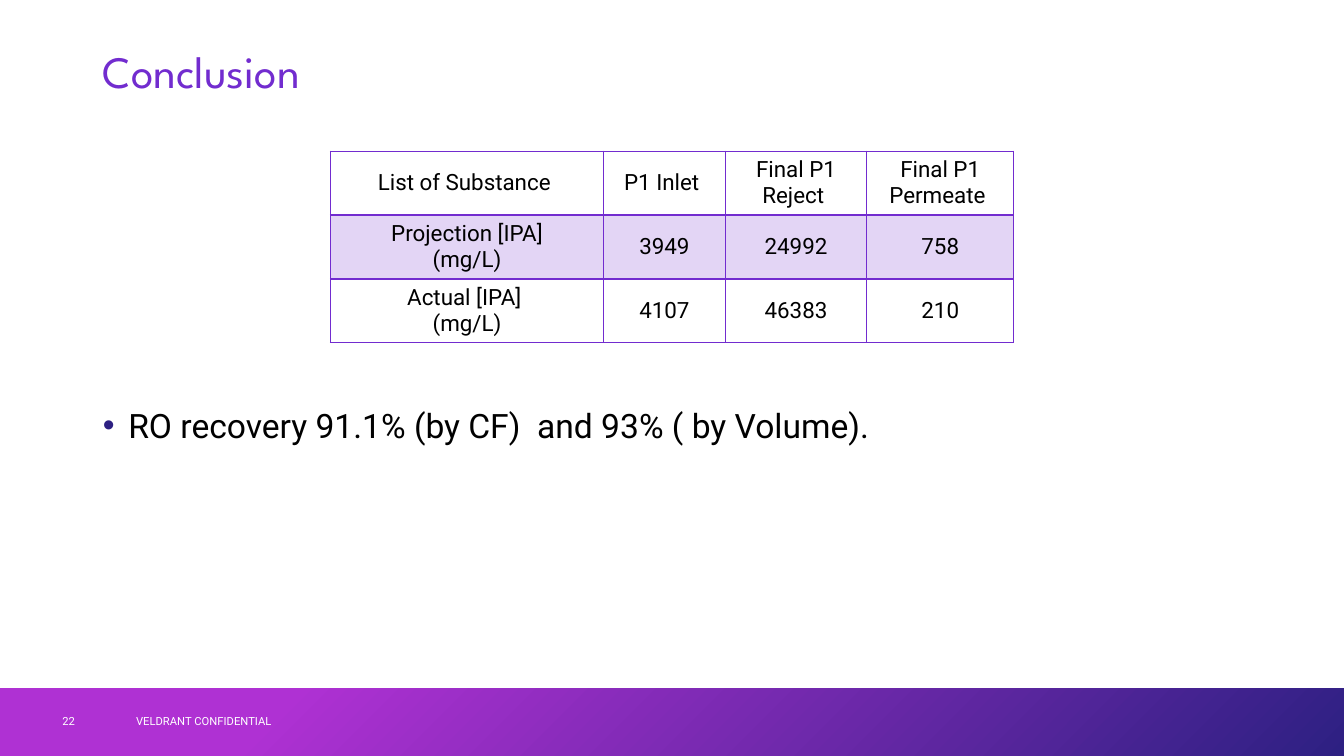
"""Builds the conclusion slide with its table, bullet and footer bar."""
from lxml import etree
from pptx import Presentation, util as u
from pptx.dml.color import RGBColor
from pptx.enum import shapes, text
from pptx.oxml.ns import qn

TITLE = "Conclusion"
POINT = "RO recovery 91.1% (by CF)  and 93% ( by Volume)."
ROWS = [
    ("List of Substance ", "P1 Inlet ", "Final P1 Reject ", "Final P1 Permeate "),
    (" Projection [IPA] \n(mg/L)", "3949", "24992", "758"),
    ("Actual [IPA] \n(mg/L)", "4107", "46383", "210"),
]
FOOT = [("VELDRANT CONFIDENTIAL", 3.18, 11.43), ("22", 1.32, 1.83)]
COLS = [6.88, 3.07, 3.56, 3.71]
HIGH = 1.56
HEX = {"violet": "722CCF", "pale": "E3D5F5", "pink": "AF31D3",
       "navy": "2D2082", "black": "000000", "white": "FFFFFF"}
HEAD = {"name": "League Spartan", "size": u.Pt(32), "color": "violet"}
BODY = {"name": "Roboto", "size": u.Pt(24), "color": "black"}
CELL = {**BODY, "size": u.Pt(16)}
NOTE = {**BODY, "size": u.Pt(8), "color": "white"}


def rgb(name):
    return RGBColor.from_string(HEX[name])


def put(item, **vals):
    for key, val in vals.items():
        setattr(item, key, val)


def place(item, *box):
    put(item, **dict(zip(("left", "top", "width", "height"), map(u.Cm, box))))


def write(frame, words, look, align=text.PP_ALIGN.LEFT, space=None):
    frame.text = words
    for par in frame.paragraphs:
        put(par, alignment=align, line_spacing=space, space_before=u.Pt(0))
        for run in par.runs:
            for key, val in look.items():
                if key == "color":
                    run.font.color.rgb = rgb(val)
                else:
                    setattr(run.font, key, val)


def border(cell, row):
    prop = cell._tc.get_or_add_tcPr()
    thick = {"lnT": 2 if row == 1 else 1, "lnB": 2 if row == 0 else 1}
    for spot, tag in enumerate(("lnL", "lnR", "lnT", "lnB")):
        line = etree.Element(qn("a:" + tag), w=str(u.Pt(thick.get(tag, 1))))
        fill = etree.SubElement(line, qn("a:solidFill"))
        etree.SubElement(fill, qn("a:srgbClr"), val=HEX["violet"])
        prop.insert(spot, line)


def bullet(par):
    prop = par._p.get_or_add_pPr()
    prop.set("marL", str(u.Cm(0.64)))
    prop.set("indent", str(-u.Cm(0.64)))
    tint = etree.SubElement(prop, qn("a:buClr"))
    etree.SubElement(tint, qn("a:srgbClr"), val=HEX["navy"])
    etree.SubElement(prop, qn("a:buFont"), typeface="Arial")
    etree.SubElement(prop, qn("a:buChar"), char="•")


def footer(slide):
    bar = slide.shapes.add_shape(shapes.MSO_SHAPE.RECTANGLE, 0, 0, 0, 0)
    place(bar, 0, 17.34, 33.87, 1.71)
    bar.shadow.inherit = False
    bar.line.fill.background()
    bar.fill.gradient()
    bar.fill.gradient_angle = 315
    stops = zip(bar.fill.gradient_stops, (("pink", 0.21), ("navy", 1)))
    for stop, (name, spot) in stops:
        stop.color.rgb = rgb(name)
        stop.position = spot
    for words, left, width in FOOT:
        box = slide.shapes.add_textbox(0, 0, 0, 0)
        place(box, left, 17.65, width, 1.02)
        put(box.text_frame, word_wrap=True,
            vertical_anchor=text.MSO_ANCHOR.MIDDLE)
        write(box.text_frame, words, NOTE)


def grid(slide):
    frame = slide.shapes.add_table(
        len(ROWS), len(COLS), u.Cm(8.33), u.Cm(3.81),
        u.Cm(sum(COLS)), u.Cm(HIGH * len(ROWS)))
    table = frame.table
    put(table, first_row=False, horz_banding=False)
    for col, width in zip(table.columns, COLS):
        col.width = u.Cm(width)
    for num, words in enumerate(ROWS):
        table.rows[num].height = u.Cm(HIGH)
        for cell, word in zip(table.rows[num].cells, words):
            cell.vertical_anchor = text.MSO_ANCHOR.MIDDLE
            cell.fill.solid()
            cell.fill.fore_color.rgb = rgb("pale" if num == 1 else "white")
            border(cell, num)
            write(cell.text_frame, word, CELL, text.PP_ALIGN.CENTER)


def main():
    deck = Presentation()
    put(deck, slide_width=u.Cm(33.87), slide_height=u.Cm(19.05))
    slide = deck.slides.add_slide(deck.slide_layouts[1])
    title, body = slide.placeholders
    place(title, 2.34, 1.02, 29.21, 1.7)
    place(body, 2.34, 10.18, 29.21, 1.73)
    anchors = text.MSO_ANCHOR.MIDDLE, text.MSO_ANCHOR.TOP
    for item, words, look, anchor in zip(
            (title, body), (TITLE, POINT), (HEAD, BODY), anchors):
        put(item.text_frame, auto_size=text.MSO_AUTO_SIZE.NONE,
            word_wrap=True, vertical_anchor=anchor)
        write(item.text_frame, words, look, space=0.9)
    bullet(body.text_frame.paragraphs[0])
    footer(slide)
    grid(slide)
    deck.save("out.pptx")


if __name__ == "__main__":
    main()
